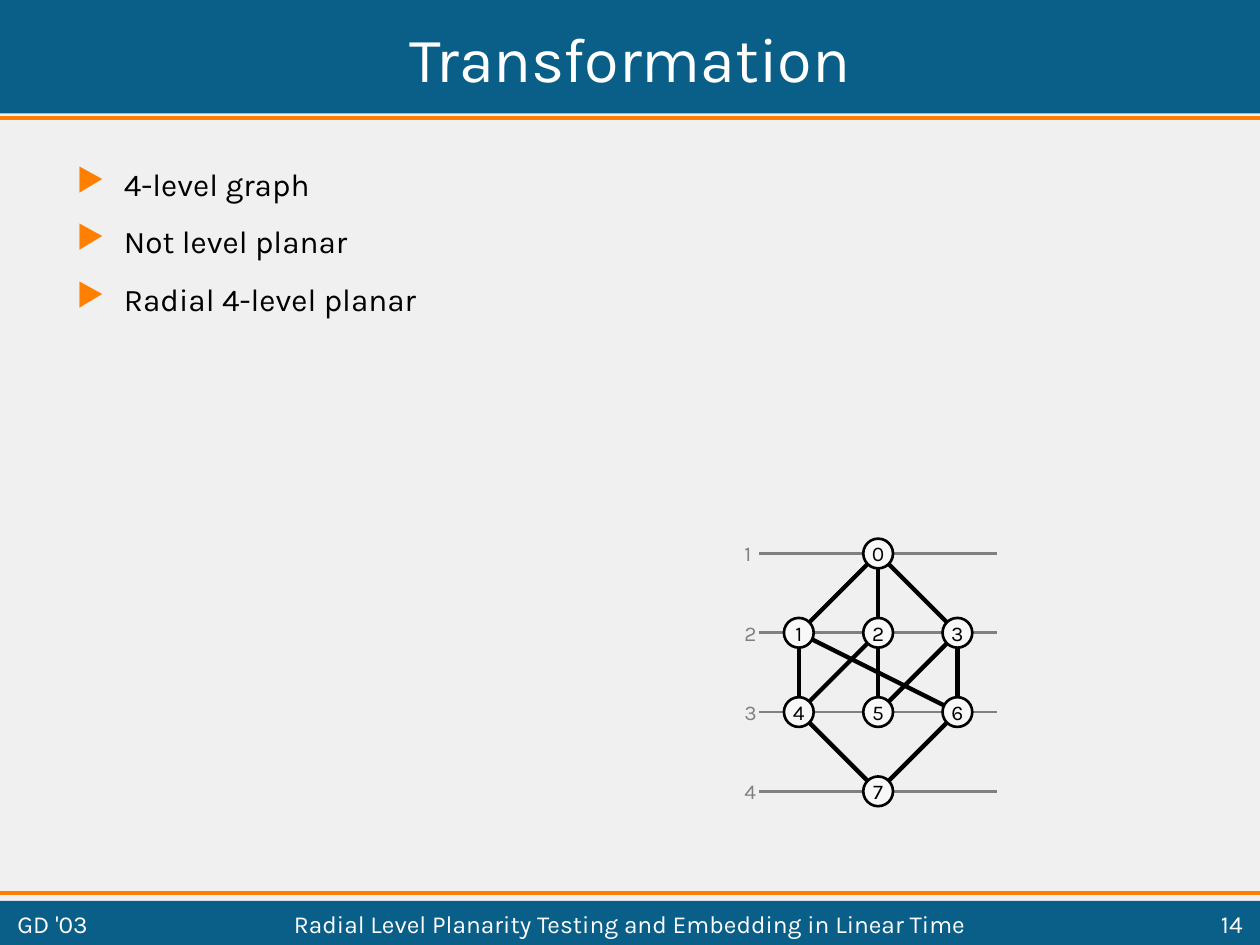
from lxml.etree import SubElement
from pptx import Presentation
from pptx.dml.color import RGBColor
from pptx.enum.shapes import MSO_CONNECTOR, MSO_SHAPE
from pptx.enum.text import MSO_ANCHOR as ANCHOR, PP_ALIGN as ALIGN
from pptx.oxml.ns import qn
from pptx.util import Pt

WIDTH, HEIGHT = 720, 540
FONT = "Karla"
BACKGROUND = RGBColor(0xF0, 0xF0, 0xF0)
BLUE = RGBColor(0x0A, 0x5F, 0x89)
ORANGE = RGBColor(0xFF, 0x7F, 0x00)
WHITE = RGBColor(0xFF, 0xFF, 0xFF)
BLACK = RGBColor(0x00, 0x00, 0x00)
GRAY = RGBColor(0x80, 0x80, 0x80)
NODE_FILL = RGBColor(0xF8, 0xF8, 0xF8)

TITLE = "Transformation"
BULLETS = ["4-level graph", "Not level planar", "Radial 4-level planar"]
FOOTERS = [
    ("GD '03", 2.9, 85, ALIGN.LEFT),
    ("Radial Level Planarity Testing and Embedding in Linear Time", 93.6, 532.8, ALIGN.CENTER),
    ("14", 632.2, 85, ALIGN.RIGHT),
]
BANDS = [(0, 64.8), (514.8, 25.2)]
RULES = [67.7, 510.5]

LEVELS = [{0: 0}, {1: -1, 2: 0, 3: 1}, {4: -1, 5: 0, 6: 1}, {7: 0}]
EDGES = [(0, 1), (0, 2), (0, 3), (1, 4), (1, 6), (2, 4), (2, 5), (3, 5), (3, 6), (4, 7), (6, 7)]
CENTER_X, FIRST_Y, STEP = 501.8, 316.3, 45.3
LEVEL_HALF = 1.5 * STEP
NODE_SIZE = 17

presentation = Presentation()
presentation.slide_width, presentation.slide_height = Pt(WIDTH), Pt(HEIGHT)
slide = presentation.slides.add_slide(presentation.slide_layouts[6])
slide.background.fill.solid()
slide.background.fill.fore_color.rgb = BACKGROUND


def add_filled(kind, left, top, width, height, color):
    shape = slide.shapes.add_shape(kind, Pt(left), Pt(top), Pt(width), Pt(height))
    shape.shadow.inherit = False
    shape.fill.solid()
    shape.fill.fore_color.rgb = color
    shape.line.fill.background()
    return shape


def add_line(start, end, color, weight):
    line = slide.shapes.add_connector(MSO_CONNECTOR.STRAIGHT, *map(Pt, start + end))
    line.line.color.rgb = color
    line.line.width = Pt(weight)
    SubElement(line._element.spPr, qn("a:effectLst"))


def style(paragraph, size, color, align=ALIGN.LEFT):
    paragraph.alignment = align
    paragraph.font.name = FONT
    paragraph.font.size = Pt(size)
    paragraph.font.color.rgb = color


def write(shape, text, size, color, align=ALIGN.LEFT, anchor=ANCHOR.MIDDLE, wrap=True):
    frame = shape.text_frame
    frame.word_wrap = wrap
    frame.vertical_anchor = anchor
    frame.text = text
    for paragraph in frame.paragraphs:
        style(paragraph, size, color, align)


def add_text(left, top, width, height, *args, **options):
    box = slide.shapes.add_textbox(Pt(left), Pt(top), Pt(width), Pt(height))
    write(box, *args, **options)


def add_bullets(left, top, width, height):
    box = slide.shapes.add_textbox(Pt(left), Pt(top), Pt(width), Pt(height))
    frame = box.text_frame
    frame.word_wrap = True
    for index, text in enumerate(BULLETS):
        paragraph = frame.add_paragraph() if index else frame.paragraphs[0]
        paragraph.text = text
        if index:
            paragraph.space_before = Pt(11.2)
        properties = paragraph._p.get_or_add_pPr()
        properties.set("marL", str(Pt(27)))
        properties.set("indent", str(-Pt(27)))
        bullet_color = SubElement(properties, qn("a:buClr"))
        SubElement(bullet_color, qn("a:srgbClr"), val=str(ORANGE))
        SubElement(properties, qn("a:buChar"), char="▶")
        style(paragraph, 18, BLACK)


def add_graph():
    positions = {}
    for index, level in enumerate(LEVELS):
        y = FIRST_Y + index * STEP
        add_line((CENTER_X - LEVEL_HALF, y), (CENTER_X + LEVEL_HALF, y), GRAY, 1.5)
        add_text(418.3, y - 10.8, 21, 21.6, str(index + 1), 12, GRAY, anchor=ANCHOR.TOP, wrap=False)
        for node, column in level.items():
            positions[node] = (CENTER_X + column * STEP, y)
    for start, end in EDGES:
        add_line(positions[start], positions[end], BLACK, 2.5)
    for node, (x, y) in positions.items():
        circle = add_filled(MSO_SHAPE.OVAL, x - NODE_SIZE / 2, y - NODE_SIZE / 2,
                            NODE_SIZE, NODE_SIZE, NODE_FILL)
        circle.line.color.rgb = BLACK
        circle.line.width = Pt(1.5)
        write(circle, str(node), 12, BLACK, ALIGN.CENTER, wrap=False)


for top, height in BANDS:
    add_filled(MSO_SHAPE.RECTANGLE, 0, top, WIDTH, height, BLUE)
for y in RULES:
    add_line((0, y), (WIDTH, y), ORANGE, 2.25)
add_text(2.9, 2.9, 714.2, 59.8, TITLE, 36, WHITE, ALIGN.CENTER)
add_graph()
add_bullets(36.7, 90.7, 266.4, 394.6)
for text, left, width, align in FOOTERS:
    add_text(left, 517.7, width, 20.2, text, 14, WHITE, align)

presentation.save("out.pptx")
